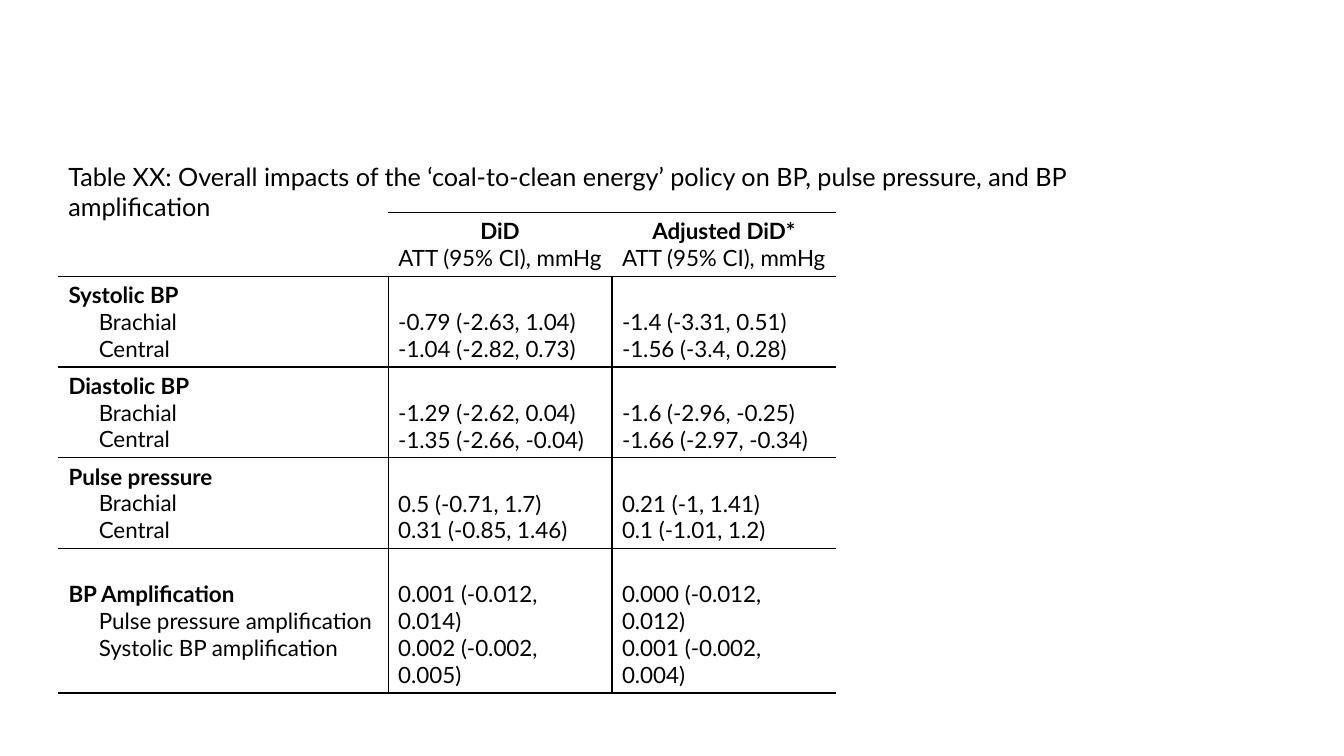
from pptx import Presentation
from pptx.dml.color import RGBColor
from pptx.enum.text import MSO_ANCHOR, PP_ALIGN
from pptx.oxml.ns import qn
from pptx.util import Inches, Pt
from lxml.etree import SubElement

FONT = "Lato"
BLACK = "000000"
LINE = 0.27  # height of one table text line
COLS = [3.27, 2.22, 2.22]
ROWS = [0.63, 0.9, 0.9, 0.9, 1.43]

TITLE = ("Table XX: Overall impacts of the ‘coal-to-clean energy’ policy "
         "on BP, pulse pressure, and BP amplification")
HEADS = ["DiD", "Adjusted DiD*"]
UNIT = "ATT (95% CI), mmHg"
SITES = ["Brachial", "Central"]

# Group, its measures, DiD values, adjusted DiD values
GROUPS = [
    ("Systolic BP", SITES,
     ["-0.79 (-2.63, 1.04)", "-1.04 (-2.82, 0.73)"],
     ["-1.4 (-3.31, 0.51)", "-1.56 (-3.4, 0.28)"]),
    ("Diastolic BP", SITES,
     ["-1.29 (-2.62, 0.04)", "-1.35 (-2.66, -0.04)"],
     ["-1.6 (-2.96, -0.25)", "-1.66 (-2.97, -0.34)"]),
    ("Pulse pressure", SITES,
     ["0.5 (-0.71, 1.7)", "0.31 (-0.85, 1.46)"],
     ["0.21 (-1, 1.41)", "0.1 (-1.01, 1.2)"]),
    ("BP Amplification",
     ["Pulse pressure amplification", "Systolic BP amplification"],
     ["0.001 (-0.012, 0.014)", "0.002 (-0.002, 0.005)"],
     ["0.000 (-0.012, 0.012)", "0.001 (-0.002, 0.004)"]),
]


def color(code):
    return RGBColor.from_string(code)


def write(frame, text, first=False, size=16, bold=False, align=PP_ALIGN.LEFT,
          indent=0, ink=BLACK):
    """Write one paragraph; first reuses the frame's opening paragraph."""
    para = frame.paragraphs[0] if first else frame.add_paragraph()
    para.alignment = align
    if indent:
        props = para._p.get_or_add_pPr()
        props.set("marL", str(Inches(indent)))
        props.set("indent", "0")
    run = para.add_run()
    run.text = text
    run.font.name = FONT
    run.font.size = Pt(size)
    run.font.bold = bold
    run.font.color.rgb = color(ink)


def border(cell, sides):
    """Draw the named sides (L, R, T, B) and hide the others."""
    props = cell._tc.get_or_add_tcPr()
    for side in "LRTB":
        line = SubElement(props, qn(f"a:ln{side}"), w=str(Pt(1)))
        if side in sides:
            fill = SubElement(line, qn("a:solidFill"))
            SubElement(fill, qn("a:srgbClr"), val=BLACK)
        else:
            SubElement(line, qn("a:noFill"))


def style(cell, sides):
    border(cell, sides)
    cell.fill.background()
    cell.vertical_anchor = MSO_ANCHOR.MIDDLE
    return cell.text_frame


def fill_head(table):
    style(table.cell(0, 0), "B")
    for col, head in enumerate(HEADS, 1):
        frame = style(table.cell(0, col), "TB")
        write(frame, head, first=True, bold=True, align=PP_ALIGN.CENTER)
        write(frame, UNIT, align=PP_ALIGN.CENTER)


def fill_group(table, row, group):
    name, labels, *values = group
    frame = style(table.cell(row, 0), "RTB")
    write(frame, name, first=True, bold=True)
    for label in labels:
        write(frame, label, indent=0.3)
    for col, (pair, sides) in enumerate(zip(values, ["LRTB", "LTB"]), 1):
        cell = table.cell(row, col)
        frame = style(cell, sides)
        # Leave room for the group name's line
        cell.margin_top = Inches(0.05 + LINE)
        for num, value in enumerate(pair):
            write(frame, value, first=num == 0)


def add_grid(slide):
    shape = slide.shapes.add_table(
        len(ROWS), len(COLS), Inches(0.58), Inches(2.11),
        Inches(sum(COLS)), Inches(sum(ROWS)))
    table = shape.table
    table.first_row = table.horz_banding = False
    for col, width in zip(table.columns, COLS):
        col.width = Inches(width)
    for row, height in zip(table.rows, ROWS):
        row.height = Inches(height)
    fill_head(table)
    for row, group in enumerate(GROUPS, 1):
        fill_group(table, row, group)


def add_title(slide):
    box = slide.shapes.add_textbox(
        Inches(0.58), Inches(1.55), Inches(11.47), Inches(0.4))
    box.text_frame.word_wrap = True
    write(box.text_frame, TITLE, first=True, size=18)


def main():
    deck = Presentation()
    deck.slide_width, deck.slide_height = Inches(13.33), Inches(7.5)
    slide = deck.slides.add_slide(deck.slide_layouts[6])
    # Results table, then its caption above
    add_grid(slide)
    add_title(slide)
    deck.save("out.pptx")


if __name__ == "__main__":
    main()
